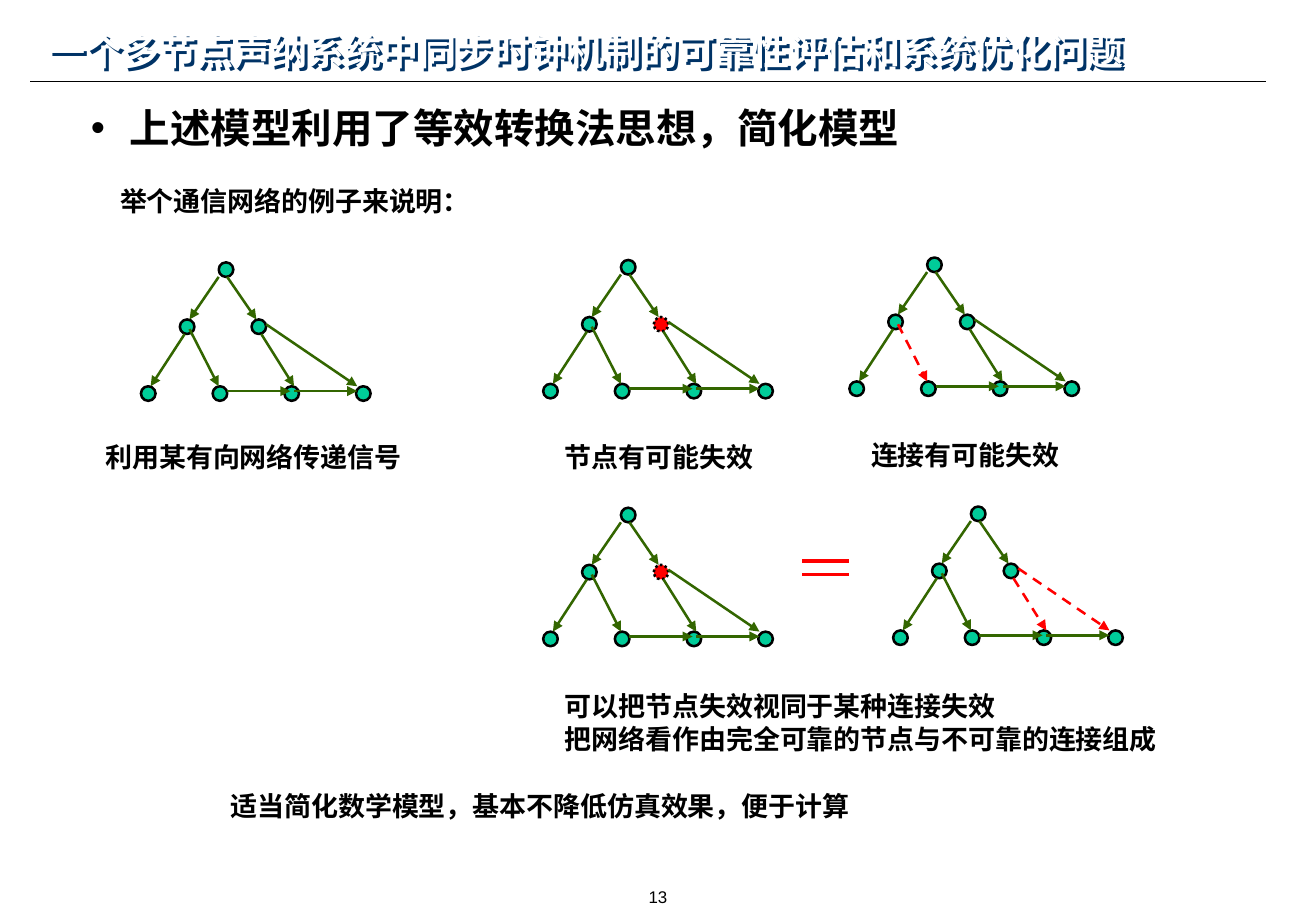
from dataclasses import dataclass

from lxml import etree
from pptx import Presentation
from pptx.dml.color import RGBColor
from pptx.enum.dml import MSO_LINE
from pptx.enum.shapes import MSO_CONNECTOR, MSO_SHAPE
from pptx.enum.text import MSO_ANCHOR, PP_ALIGN
from pptx.oxml.ns import qn
from pptx.util import Inches, Pt

OVAL = MSO_SHAPE.OVAL
STRAIGHT = MSO_CONNECTOR.STRAIGHT
DASH = MSO_LINE.DASH
DOT = MSO_LINE.ROUND_DOT
LEFT, CENTER = PP_ALIGN.LEFT, PP_ALIGN.CENTER
TOP, MIDDLE = MSO_ANCHOR.TOP, MSO_ANCHOR.MIDDLE


@dataclass(frozen=True)
class Theme:
    black: str = "000000"
    white: str = "FFFFFF"
    navy: str = "003366"
    node: str = "00CC99"
    link: str = "336600"
    fail: str = "FF0000"
    latin: str = "Arial"
    cjk: str = "Noto Sans CJK SC"
    title: int = 22
    head: int = 24
    body: int = 16
    page: int = 10
    leading: float = 1.2


THEME = Theme()

# Node and link places are measured from the corner of a network.
SIZE = 0.12
STEP = 0.59
NODES = [(0.64, 0), (0.32, 0.47), (0.32 + STEP, 0.47)]
NODES += [(STEP * i, 1.02) for i in range(4)]
LINKS = [
    (0.64, 0.12, 0.4, 0.47),
    (0.36, 0.59, 0.08, 1.02),
    (0.71, 0.12, 0.95, 0.47),
    (0.4, 0.55, 0.64, 1.02),
    (0.99, 0.59, 1.26, 1.02),
    (1.03, 0.51, 1.78, 1.02),
    (0.71, 1.06, 1.23, 1.06),
    (1.26, 1.06, 1.78, 1.06),
]
RIGHT = 2
INNER, STEEP, LONG = 3, 4, 5

# Left, top, failed nodes, failed links
NETS = [
    (1.16, 2.16, (), ()),
    (4.47, 2.14, (RIGHT,), ()),
    (6.99, 2.12, (), (INNER,)),
    (4.47, 4.18, (RIGHT,), ()),
    (7.35, 4.17, (), (STEEP, LONG)),
]

LABELS = [
    ("举个通信网络的例子来说明：", (0.89, 1.47, 3.07, 0.38)),
    ("利用某有向网络传递信号", (0.77, 3.58, 2.76, 0.37)),
    ("节点有可能失效", (4.55, 3.58, 1.97, 0.37)),
    ("连接有可能失效", (7.07, 3.56, 1.93, 0.37)),
    ("可以把节点失效视同于某种连接失效\n把网络看作由完全可靠的节点与不可靠的连接组成",
     (4.55, 5.63, 5.63, 0.64)),
    ("适当简化数学模型，基本不降低仿真效果，便于计算", (1.8, 6.45, 7.82, 0.37)),
]


def rgb(code):
    return RGBColor.from_string(code)


def add_text(slide, text, box, size=THEME.body, color=THEME.black,
             font=THEME.cjk, bold=True, align=LEFT, anchor=TOP):
    shape = slide.shapes.add_textbox(*map(Inches, box))
    frame = shape.text_frame
    frame.word_wrap = True
    frame.vertical_anchor = anchor
    frame.text = text
    for para in frame.paragraphs:
        para.alignment = align
        para.line_spacing = Pt(size * THEME.leading)
        for run in para.runs:
            run.font.size = Pt(size)
            run.font.bold = bold
            run.font.name = font
            run.font.color.rgb = rgb(color)
            east = etree.SubElement(run.font._element, qn("a:ea"))
            east.set("typeface", THEME.cjk)
    return shape


def add_bullet(shape, indent):
    for para in shape.text_frame.paragraphs:
        props = para._p.get_or_add_pPr()
        props.set("marL", str(Inches(indent)))
        props.set("indent", str(-Inches(indent)))
        face = etree.SubElement(props, qn("a:buFont"))
        face.set("typeface", THEME.latin)
        etree.SubElement(props, qn("a:buChar")).set("char", "•")


def add_shade(shape, color):
    """Cast a hard shadow down and to the right of the text."""
    effects = etree.SubElement(shape._element.spPr, qn("a:effectLst"))
    shade = etree.SubElement(effects, qn("a:outerShdw"), blurRad="0",
                             dist=str(Pt(2.5)), dir="2700000",
                             algn="ctr", rotWithShape="0")
    etree.SubElement(shade, qn("a:srgbClr"), val=color)


def add_line(slide, ends, color, width, dash=None, arrow=False):
    line = slide.shapes.add_connector(STRAIGHT, *map(Inches, ends))
    line.line.color.rgb = rgb(color)
    line.line.width = Pt(width)
    if dash:
        line.line.dash_style = dash
    if arrow:
        stroke = line.line._get_or_add_ln()
        etree.SubElement(stroke, qn("a:tailEnd"), type="triangle")
    etree.SubElement(line._element.spPr, qn("a:effectLst"))


def add_node(slide, left, top, failed):
    node = slide.shapes.add_shape(
        OVAL, *map(Inches, (left, top, SIZE, SIZE)))
    node.shadow.inherit = False
    node.fill.solid()
    node.fill.fore_color.rgb = rgb(THEME.fail if failed else THEME.node)
    node.line.color.rgb = rgb(THEME.black)
    node.line.width = Pt(1.5)
    if failed:
        node.line.dash_style = DOT


def add_net(slide, left, top, lost, cut):
    for i, (x, y) in enumerate(NODES):
        add_node(slide, left + x, top + y, i in lost)
    for i, (x1, y1, x2, y2) in enumerate(LINKS):
        ends = (left + x1, top + y1, left + x2, top + y2)
        failed = i in cut
        add_line(slide, ends, THEME.fail if failed else THEME.link, 1.5,
                 dash=DASH if failed else None, arrow=True)


def main():
    deck = Presentation()
    deck.slide_width, deck.slide_height = Inches(10.83), Inches(7.5)
    slide = deck.slides.add_slide(deck.slide_layouts[6])

    add_line(slide, (0.25, 0.67, 10.42, 0.67), THEME.black, 0.75)
    add_text(slide, "13", (3.7, 7.25, 3.43, 0.25), size=THEME.page,
             font=THEME.latin, bold=False, align=CENTER)
    head = add_text(slide, "上述模型利用了等效转换法思想，简化模型",
                    (0.65, 0.8, 8.43, 0.5), size=THEME.head)
    add_bullet(head, 0.32)

    for net in NETS:
        add_net(slide, *net)
    for y in (4.62, 4.73):
        add_line(slide, (6.6, y, 6.99, y), THEME.fail, 2.25)
    for text, box in LABELS:
        add_text(slide, text, box)

    title = add_text(
        slide, "一个多节点声纳系统中同步时钟机制的可靠性评估和系统优化问题",
        (0.3, 0.17, 10.63, 0.5), size=THEME.title, color=THEME.white,
        font=THEME.latin, anchor=MIDDLE)
    add_shade(title, THEME.navy)
    deck.save("out.pptx")


if __name__ == "__main__":
    main()
